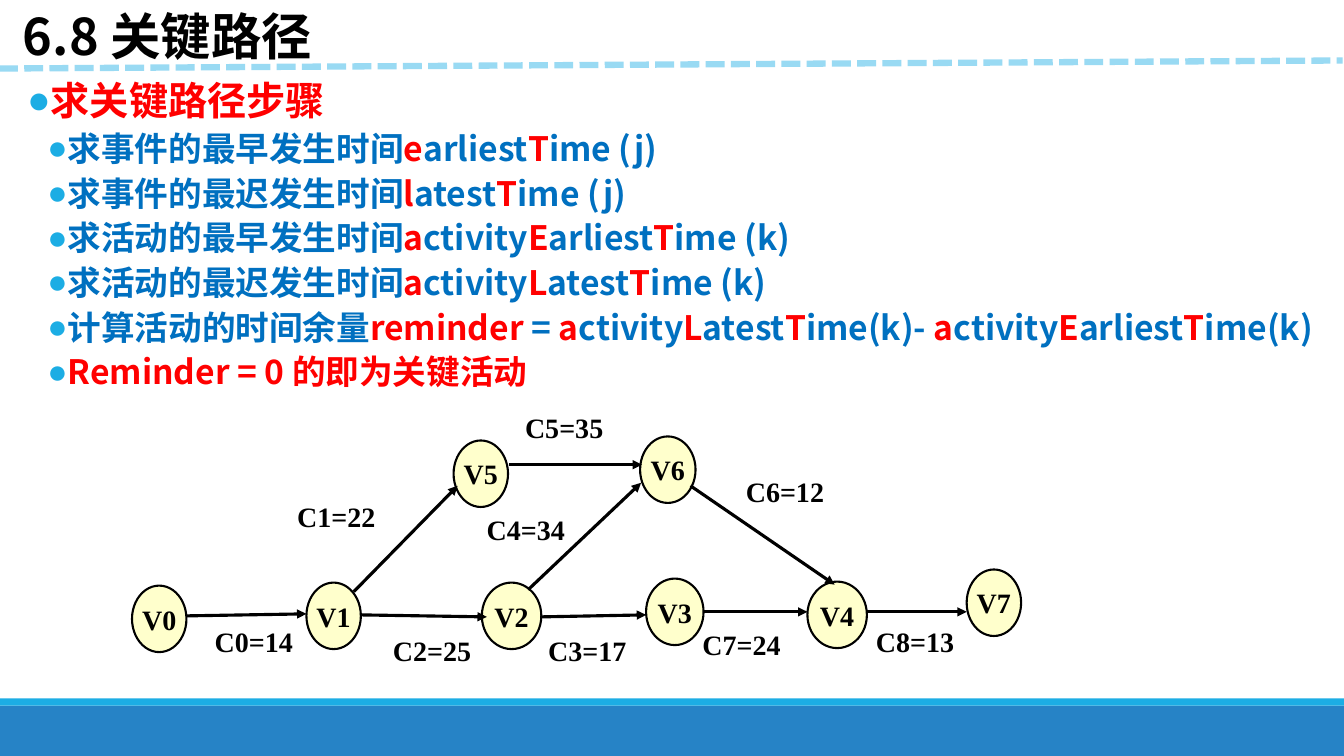
from lxml import etree
from pptx import Presentation, util as u
from pptx.dml.color import RGBColor
from pptx.enum import dml, shapes, text
from pptx.oxml.ns import qn

BLACK = RGBColor(0, 0, 0)
RED = RGBColor(0xFF, 0, 0)
BLUE = RGBColor(0, 0x70, 0xC0)
CYAN = RGBColor(0x1C, 0xAD, 0xE4)
PALE = RGBColor(0x99, 0xDA, 0xF3)
BAND = RGBColor(0x26, 0x83, 0xC6)
CREAM = RGBColor(0xFF, 0xFF, 0xCC)
SANS, SERIF = "Noto Sans CJK SC", "Times New Roman"

# The grid has square cells, a tenth of an inch wide.
CELL = u.Inches(0.1)
COLS, ROWS = 133.33, 75

TITLE = "6.8 关键路径"
HEAD = "求关键路径步骤"
# Pieces between bars alternate between blue and red.
STEPS = [
    "求事件的最早发生时间|e|arliest|T|ime (j)",
    "求事件的最迟发生时间|l|atest|T|ime (j)",
    "求活动的最早发生时间|a|ctivity|E|arliest|T|ime (k)",
    "求活动的最迟发生时间|a|ctivity|L|atest|T|ime (k)",
    "计算活动的时间余量|reminder| = |a|ctivity|L|atest|T|ime(k)- "
    "|a|ctivity|E|arliest|T|ime(k)",
    "|Reminder = 0 的即为关键活动",
]
# Event: left, top, width
EVENTS = {
    "V0": (13.1, 58.1, 5.4), "V1": (30.4, 57.8, 5.4),
    "V2": (47.8, 57.8, 5.9), "V3": (64.1, 57.4, 5.7),
    "V4": (80.1, 57.7, 5.9), "V5": (45, 43.7, 5.4),
    "V6": (63.5, 43.3, 5.5), "V7": (95.9, 56.5, 5.4),
}
# Activity: start, end, left and top of the label
ACTS = {
    "C0=14": ((18.5, 61.1), (30.4, 60.9), (20.3, 61.5)),
    "C1=22": ((35.1, 58.7), (45.4, 48.2), (28.5, 49.1)),
    "C2=25": ((35.7, 61), (48.3, 61.2), (38, 62.4)),
    "C3=17": ((53.7, 61.2), (64.1, 61), (53.4, 62.4)),
    "C4=34": ((52.4, 58.5), (63.6, 47.9), (47.3, 50.4)),
    "C5=35": ((50.5, 46.1), (63.7, 46.1), (51.1, 40.2)),
    "C6=12": ((68.5, 48.2), (82.8, 58), (73, 46.6)),
    "C7=24": ((69.8, 60.7), (80.1, 60.7), (68.7, 61.8)),
    "C8=13": ((85.9, 60.7), (95.9, 60.7), (85.9, 61.5)),
}


def grid(*cells):
    return [round(c * CELL) for c in cells]


def write(para, words, size=20, font=SERIF, color=BLACK):
    run = para.add_run()
    run.text = words
    face = run.font
    face.size, face.name, face.bold = u.Pt(size), font, True
    face.color.rgb = color
    etree.SubElement(face._element, qn("a:ea"), typeface=font)


def shape(kind, box, fill, edge=None):
    item = slide.shapes.add_shape(kind, *grid(*box))
    item.shadow.inherit = False
    item.fill.solid()
    item.fill.fore_color.rgb = fill
    if edge is None:
        item.line.fill.background()
    else:
        item.line.color.rgb, item.line.width = edge, u.Pt(1.5)
    return item


def label(box, wrap=False):
    frame = slide.shapes.add_textbox(*grid(*box)).text_frame
    frame.word_wrap = wrap
    return frame


def line(start, end, color=BLACK, width=2.25):
    item = slide.shapes.add_connector(
        shapes.MSO_CONNECTOR.STRAIGHT, *grid(*start, *end))
    item.line.color.rgb, item.line.width = color, u.Pt(width)
    etree.SubElement(item._element.spPr, qn("a:effectLst"))
    return item


def bullet(para, level):
    """Set the indent, the spacing and a cyan dot."""
    para.level = level
    para.line_spacing = 0.9
    para.space_before, para.space_after = u.Pt(2), u.Pt(4)
    props = para._p.get_or_add_pPr()
    props.set("marL", str(u.Inches(0.42 + 0.2 * (level - 1))))
    props.set("indent", str(-u.Inches(0.2)))
    tint = etree.SubElement(props, qn("a:buClr"))
    etree.SubElement(tint, qn("a:srgbClr"), val=str(CYAN))
    etree.SubElement(props, qn("a:buFont"), typeface=SERIF)
    etree.SubElement(props, qn("a:buChar"), char="●")


def draw_steps():
    frame = label((0.5, 7.6, 131.1, 31.1), wrap=True)
    frame.margin_left = frame.margin_right = 0
    para = frame.paragraphs[0]
    bullet(para, 1)
    write(para, HEAD, size=28, font=SANS, color=RED)
    for step in STEPS:
        para = frame.add_paragraph()
        bullet(para, 2)
        for i, piece in enumerate(step.split("|")):
            if piece:
                write(para, piece, size=24, font=SANS,
                      color=RED if i % 2 else BLUE)


def draw_graph():
    for name, (left, top, width) in EVENTS.items():
        node = shape(shapes.MSO_SHAPE.OVAL, (left, top, width, 6.6),
                     CREAM, BLACK)
        frame = node.text_frame
        frame.word_wrap = False
        frame.vertical_anchor = text.MSO_ANCHOR.MIDDLE
        para = frame.paragraphs[0]
        para.alignment = text.PP_ALIGN.CENTER
        write(para, name)
    for name, (start, end, spot) in ACTS.items():
        arrow = line(start, end)
        etree.SubElement(arrow.line._get_or_add_ln(), qn("a:tailEnd"),
                         type="triangle")
        write(label((*spot, 9.9, 4.4)).paragraphs[0], name)


deck = Presentation()
deck.slide_width, deck.slide_height = grid(COLS, ROWS)
slide = deck.slides.add_slide(deck.slide_layouts[6])

for top, high, fill in ((70, 5, BAND), (69.3, 0.7, CYAN)):
    shape(shapes.MSO_SHAPE.RECTANGLE, (0, top, COLS, high), fill)
draw_steps()
draw_graph()
rule = line((-0.1, 6.8), (133.2, 6), color=PALE, width=4.5)
rule.line.dash_style = dml.MSO_LINE.SQUARE_DOT
write(label((1.3, 0, 39.7, 7.1), wrap=True).paragraphs[0], TITLE,
      size=36, font=SANS)

deck.save("out.pptx")
